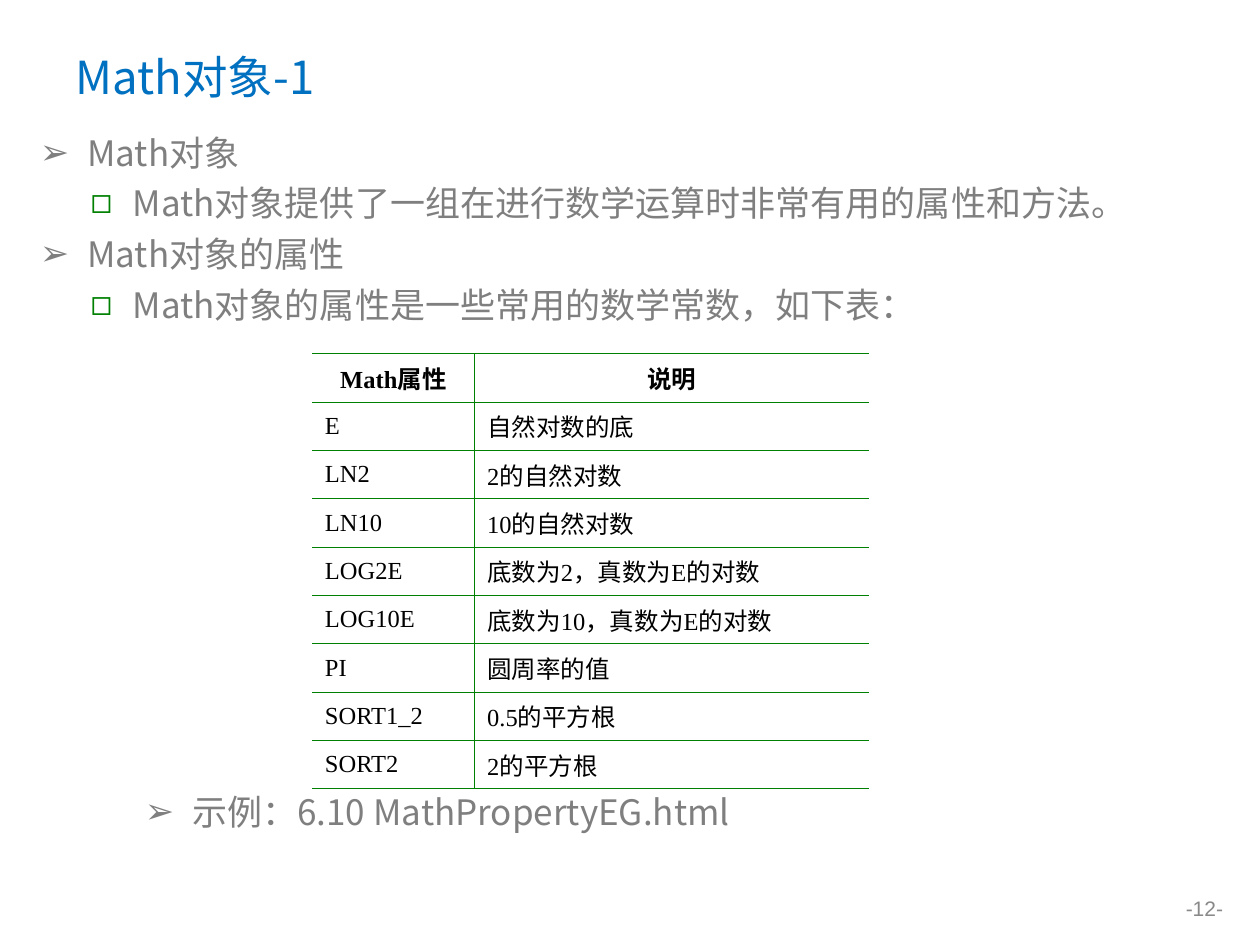
from lxml.etree import SubElement
from pptx import Presentation
from pptx.dml.color import RGBColor
from pptx.enum.text import MSO_ANCHOR as Anchor, MSO_AUTO_SIZE as Auto, PP_ALIGN as Align
from pptx.oxml.ns import qn
from pptx.util import Pt

CJK = "Noto Sans CJK SC"
GREY, GREEN = "7F7F7F", "008000"
# sign, colour, hanging indent
ARROW, BOX = ("➢", GREY, 27), ("◻", GREEN, 24)

# text, level, bullet, left margin, space before
ITEMS = [
    ("Math对象", 0, ARROW, 34, 0),
    ("Math对象提供了一组在进行数学运算时非常有用的属性和方法。", 1, BOX, 60, 5),
    ("Math对象的属性", 0, ARROW, 34, 5),
    ("Math对象的属性是一些常用的数学常数，如下表：", 1, BOX, 60, 5),
    ("示例：6.10 MathPropertyEG.html", 0, ARROW, 94, 265.6),
]

ROWS = [
    ("Math属性", "说明"),
    ("E", "自然对数的底"),
    ("LN2", "2的自然对数"),
    ("LN10", "10的自然对数"),
    ("LOG2E", "底数为2，真数为E的对数"),
    ("LOG10E", "底数为10，真数为E的对数"),
    ("PI", "圆周率的值"),
    ("SORT1_2", "0.5的平方根"),
    ("SORT2", "2的平方根"),
]


def color(text):
    return RGBColor.from_string(text)


def place(shape, left, top, width, height):
    shape.left, shape.top = Pt(left), Pt(top)
    shape.width, shape.height = Pt(width), Pt(height)


def style(para, size, tint, face, bold=False):
    font = para.font
    font.size, font.name, font.bold = Pt(size), face, bold
    font.color.rgb = color(tint)
    props = para._p.pPr.find(qn("a:defRPr"))
    SubElement(props, qn("a:ea"), typeface=CJK)


def bullet(para, mark, left):
    sign, tint, hang = mark
    props = para._p.get_or_add_pPr()
    props.set("marL", str(Pt(left)))
    props.set("indent", str(-Pt(hang)))
    SubElement(SubElement(props, qn("a:buClr")), qn("a:srgbClr"), val=tint)
    SubElement(props, qn("a:buChar"), char=sign)


def border(cell, side, width):
    """Draw one side of a cell; a width of 0 hides it."""
    line = SubElement(cell._tc.get_or_add_tcPr(), qn("a:ln" + side), w=str(Pt(width)))
    if width:
        fill = SubElement(line, qn("a:solidFill"))
        SubElement(fill, qn("a:srgbClr"), val=GREEN)
    else:
        SubElement(line, qn("a:noFill"))


class Page:
    def __init__(self, deck):
        self.slide = deck.slides.add_slide(deck.slide_layouts[1])
        self.thin, self.thick = 0.45, 0.75

    def title(self, text, *area):
        shape = self.slide.shapes.title
        place(shape, *area)
        frame = shape.text_frame
        frame.text = text
        frame.auto_size = Auto.NONE
        frame.vertical_anchor = Anchor.MIDDLE
        para = frame.paragraphs[0]
        para.alignment = Align.LEFT
        style(para, 26, "0070C0", CJK)

    def body(self, items, *area):
        shape = self.slide.placeholders[1]
        place(shape, *area)
        frame = shape.text_frame
        frame.auto_size = Auto.NONE
        frame.text = "\n".join(item[0] for item in items)
        for para, (_, level, mark, left, gap) in zip(frame.paragraphs, items):
            para.level = level
            para.space_before = Pt(gap)
            bullet(para, mark, left)
            style(para, 20, GREY, CJK)

    def table(self, rows, left, top, widths, height):
        frame = self.slide.shapes.add_table(
            len(rows), len(widths), Pt(left), Pt(top),
            Pt(sum(widths)), Pt(height * len(rows)))
        grid = frame.table
        grid.first_row = grid.horz_banding = False
        for col, width in zip(grid.columns, widths):
            col.width = Pt(width)
        for r, row in enumerate(rows):
            for c, text in enumerate(row):
                cell = grid.cell(r, c)
                cell.text = text
                cell.vertical_anchor = Anchor.MIDDLE
                border(cell, "L", self.thin if c else 0)
                border(cell, "R", self.thin if c < len(row) - 1 else 0)
                border(cell, "T", self.thin if r else self.thick)
                border(cell, "B", self.thin if r < len(rows) - 1 else self.thick)
                cell.fill.background()
                para = cell.text_frame.paragraphs[0]
                para.alignment = Align.LEFT if r else Align.CENTER
                style(para, 14, "000000", "Times New Roman", bold=r == 0)

    def number(self, text, *area):
        box = self.slide.shapes.add_textbox(*map(Pt, area))
        frame = box.text_frame
        frame.word_wrap = True
        frame.vertical_anchor = Anchor.MIDDLE
        frame.text = text
        para = frame.paragraphs[0]
        para.alignment = Align.RIGHT
        style(para, 12, "898989", "Arial")


def main():
    deck = Presentation()
    deck.slide_width, deck.slide_height = Pt(720), Pt(540)
    page = Page(deck)
    page.title("Math对象-1", 36, 21.6, 648, 44)
    page.body(ITEMS, 8.6, 71.3, 702.7, 431.3)
    page.table(ROWS, 178.5, 202, (92.7, 225.5), 24.5)
    page.number("-12-", 655, 508.3, 51, 20.9)
    deck.save("out.pptx")


if __name__ == "__main__":
    main()
